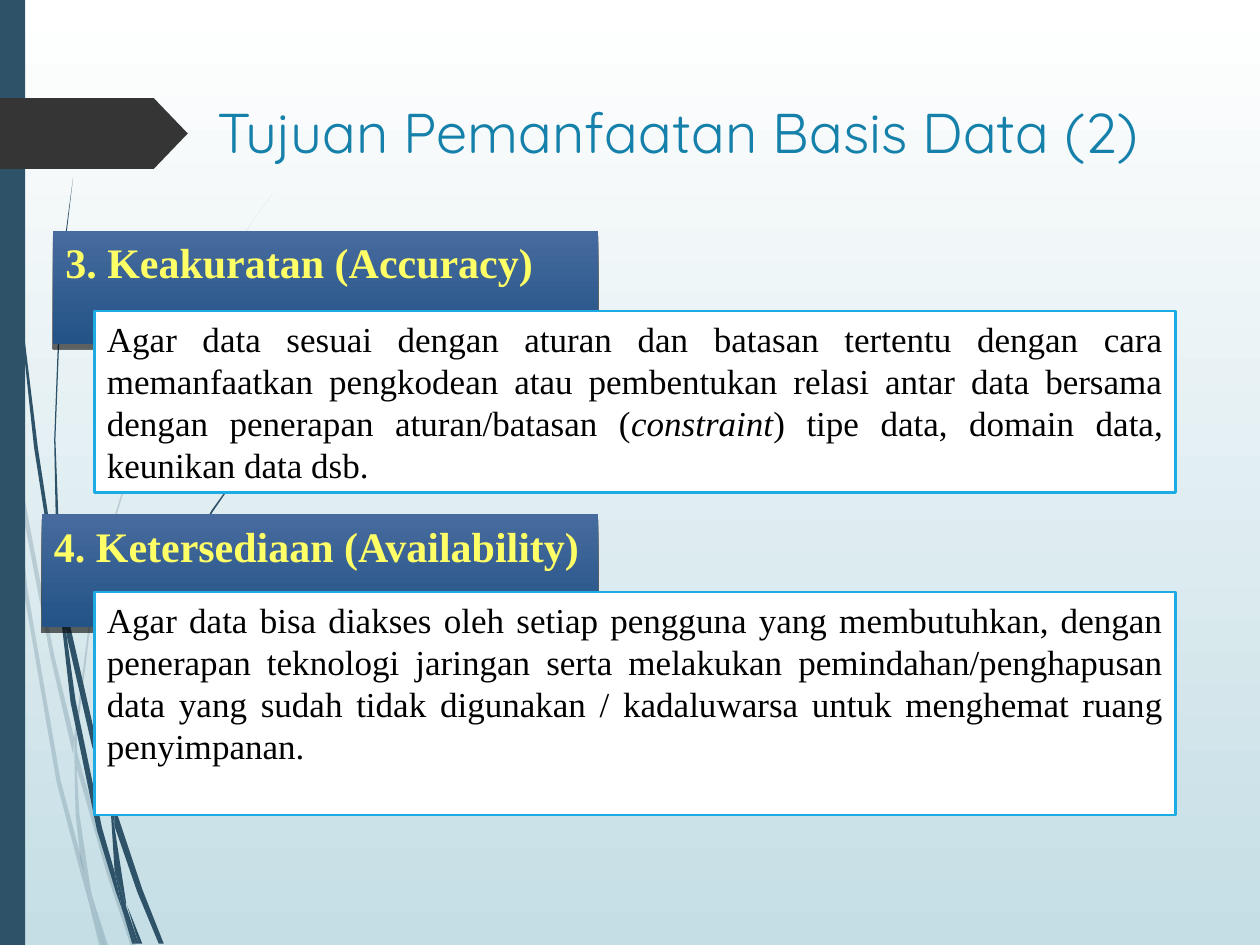
from dataclasses import dataclass

from lxml import etree
from pptx import Presentation
from pptx import util as u
from pptx.dml.color import RGBColor
from pptx.enum import shapes, text
from pptx.oxml import ns

PX = 9144


@dataclass(frozen=True)
class Theme:
    """Colours, fonts and type sizes of the slide."""

    sky: tuple = ("FFFFFF", "C5DEE5")
    banner: tuple = ("476B9E", "235387")
    stem: str = "2E5369"
    tag: str = "353535"
    title: str = "1581AA"
    heading: str = "FFFF66"
    body: str = "000000"
    card: str = "FFFFFF"
    edge: str = "1CACE3"
    title_font: str = "Quicksand"
    text_font: str = "Times New Roman"
    title_size: int = 32
    heading_size: int = 24
    body_size: int = 20


PALE_STEMS = [
    [(8, 350), (6, 322), (0, 282), (0, 299), (7, 344)],
    [(40, 521), (58, 599), (59, 586), (43, 520), (10, 345), (12, 376)],
    [(64, 607), (61, 596), (61, 610), (85, 694), (104, 751), (108, 751), (88, 692)],
    [(83, 751), (86, 751), (73, 711)],
    [(65, 683), (48, 619), (22, 469), (12, 376), (8, 350), (19, 470), (45, 621),
     (64, 693), (70, 714), (69, 707)],
    [(59, 599), (60, 646), (64, 683), (67, 692), (73, 711), (72, 706), (63, 646),
     (61, 610), (61, 608)],
    [(61, 584), (76, 462), (111, 349), (159, 245), (186, 198), (201, 175), (217, 153),
     (201, 175), (186, 197), (158, 244), (110, 348), (75, 461), (59, 584), (59, 586),
     (61, 596)],
    [(70, 714), (79, 751), (82, 751)],
    [(61, 608), (61, 610), (61, 596), (59, 586), (59, 599)],
    [(67, 692), (65, 683), (69, 707), (70, 714), (82, 751), (83, 751), (73, 711)],
]

DARK_STEMS = [
    [(5, 110), (14, 233), (27, 355), (46, 477), (47, 481), (45, 457), (45, 453),
     (30, 355), (15, 232), (6, 109), (4, 48), (3, 0), (2, 0), (3, 48)],
    [(73, 592), (88, 645), (88, 633), (88, 631), (77, 590), (50, 472), (53, 505)],
    [(94, 649), (91, 641), (91, 656), (109, 708), (126, 749), (130, 749), (113, 706)],
    [(91, 692), (81, 657), (60, 556), (53, 505), (47, 477), (56, 557), (77, 659),
     (92, 708), (97, 722), (96, 717)],
    [(50, 472), (48, 453), (44, 349), (48, 245), (52, 193), (58, 141), (51, 193),
     (47, 245), (43, 349), (45, 449), (49, 471)],
    [(110, 749), (113, 749), (101, 719)],
    [(47, 477), (53, 505), (50, 472), (49, 472), (45, 449), (45, 453)],
    [(91, 633), (103, 552), (131, 476), (169, 406), (191, 374), (203, 359), (216, 344),
     (215, 344), (203, 358), (191, 373), (168, 405), (129, 474), (101, 551), (88, 631),
     (91, 641)],
    [(97, 722), (105, 749), (108, 749)],
    [(88, 645), (91, 692), (96, 706), (100, 719), (100, 716), (91, 657), (90, 651)],
    [(88, 645), (90, 651), (91, 656), (91, 641), (88, 631), (88, 633)],
    [(96, 706), (91, 692), (96, 717), (97, 722), (108, 749), (110, 749), (100, 719)],
]

GOALS = [
    ("3. Keakuratan (Accuracy)", (42, 183, 433, 90), (75, 247, 858, 144),
     ["Agar data sesuai dengan aturan dan batasan tertentu dengan cara memanfaatkan "
      "pengkodean atau pembentukan relasi antar data bersama dengan penerapan "
      "aturan/batasan (", "constraint", ") tipe data, domain data, keunikan data dsb."]),
    ("4. Ketersediaan (Availability)", (33, 408, 442, 90), (75, 470, 858, 177),
     ["Agar data bisa diakses oleh setiap pengguna yang membutuhkan, dengan penerapan "
      "teknologi jaringan serta melakukan pemindahan/penghapusan data yang sudah tidak "
      "digunakan / kadaluwarsa untuk menghemat ruang penyimpanan."]),
]


class Deck:
    """Draws the elements of the current slide in one theme."""

    def __init__(self, prs, theme):
        """Open a title-only slide."""
        self.t = theme
        self.s = prs.slides.add_slide(prs.slide_layouts[5])

    def gradient(self, fill, colors):
        """Fill from top to bottom with two colours."""
        fill.gradient()
        fill.gradient_angle = 270
        for stop, color in zip(fill.gradient_stops, colors):
            stop.color.rgb = RGBColor.from_string(color)

    def solid(self, sp, color):
        """Give a shape a flat fill without line or shadow."""
        sp.shadow.inherit = False
        sp.fill.solid()
        sp.fill.fore_color.rgb = RGBColor.from_string(color)
        sp.line.fill.background()

    def shape(self, box, color, kind=shapes.MSO_SHAPE.RECTANGLE):
        """Add a flat preset shape."""
        sp = self.s.shapes.add_shape(kind, *(v * PX for v in box))
        self.solid(sp, color)
        return sp

    def stem(self, points, opacity=100):
        """Add one blade of the grass ornament."""
        pen = self.s.shapes.build_freeform(*points[0], scale=PX)
        pen.add_line_segments(points[1:], close=True)
        sp = pen.convert_to_shape()
        self.solid(sp, self.t.stem)
        if opacity < 100:
            color = sp._element.spPr.find(".//" + ns.qn("a:srgbClr"))
            etree.SubElement(color, ns.qn("a:alpha"), val=str(opacity * 1000))

    def label(self, sp, parts, font, size, color, align=text.PP_ALIGN.LEFT, bold=False):
        """Set one paragraph whose every second part is italic."""
        tf = sp.text_frame
        tf.word_wrap = True
        tf.auto_size = text.MSO_AUTO_SIZE.NONE
        tf.vertical_anchor = text.MSO_ANCHOR.TOP
        p = tf.paragraphs[0]
        p.alignment = align
        p.font.name, p.font.size, p.font.bold = font, u.Pt(size), bold
        p.font.color.rgb = RGBColor.from_string(color)
        for i, part in enumerate(parts):
            r = p.add_run()
            r.text = part
            if i % 2:
                r.font.italic = True

    def title(self, words, box):
        """Place and format the title placeholder."""
        sp = self.s.shapes.title
        sp.left, sp.top, sp.width, sp.height = (v * PX for v in box)
        self.label(sp, [words], self.t.title_font, self.t.title_size, self.t.title)

    def heading(self, words, box):
        """Add a gradient banner with a hard shadow."""
        sp = self.shape(box, self.t.banner[0])
        self.gradient(sp.fill, self.t.banner)
        effects = sp._element.spPr.find(ns.qn("a:effectLst"))
        shadow = etree.SubElement(effects, ns.qn("a:outerShdw"), blurRad="0",
                                  dist=str(int(u.Pt(3))), dir="5400000",
                                  rotWithShape="0")
        color = etree.SubElement(shadow, ns.qn("a:srgbClr"), val="000000")
        etree.SubElement(color, ns.qn("a:alpha"), val="60000")
        self.label(sp, [words], self.t.text_font, self.t.heading_size, self.t.heading,
                   bold=True)

    def card(self, parts, box):
        """Add an outlined box of justified text."""
        sp = self.shape(box, self.t.card)
        sp.line.color.rgb = RGBColor.from_string(self.t.edge)
        sp.line.width = u.Pt(1.25)
        self.label(sp, parts, self.t.text_font, self.t.body_size, self.t.body,
                   text.PP_ALIGN.JUSTIFY)


def main():
    """Build and save the slide."""
    prs = Presentation()
    prs.slide_width, prs.slide_height = 1000 * PX, 750 * PX
    deck = Deck(prs, Theme())
    deck.gradient(deck.s.background.fill, deck.t.sky)
    for points in PALE_STEMS:
        deck.stem(points, opacity=20)
    for points in DARK_STEMS:
        deck.stem(points)
    deck.shape((0, 0, 20, 750), deck.t.stem)
    tag = deck.shape((0, 78, 149, 56), deck.t.tag, shapes.MSO_SHAPE.PENTAGON)
    tag.adjustments[0] = 0.48
    deck.title("Tujuan Pemanfaatan Basis Data (2)", (163, 72, 887, 140))
    for heading, banner_box, card_box, parts in GOALS:
        deck.heading(heading, banner_box)
        deck.card(parts, card_box)
    prs.save("out.pptx")


if __name__ == "__main__":
    main()
